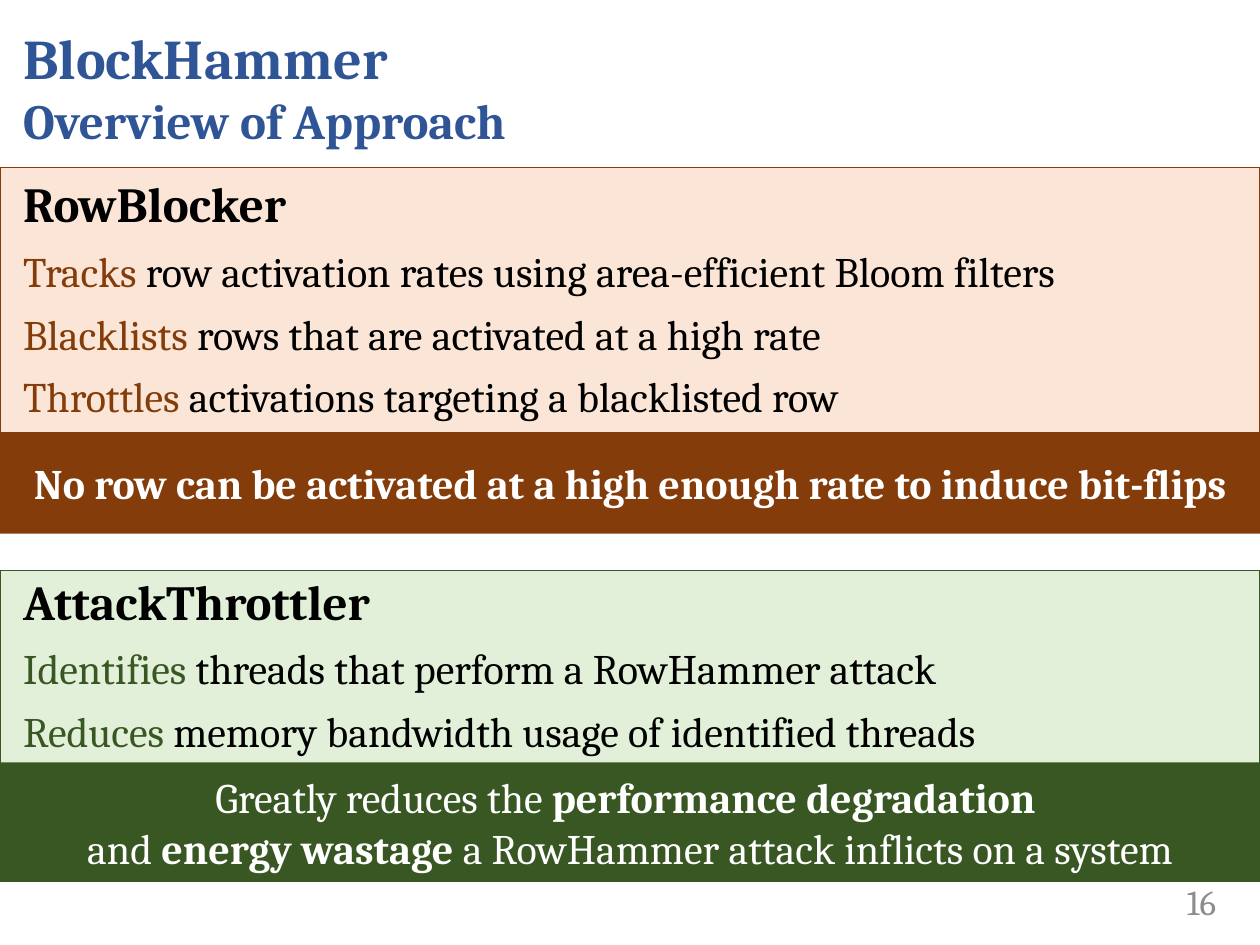
from pptx import Presentation
from pptx.dml.color import RGBColor
from pptx.enum.shapes import MSO_SHAPE
from pptx.enum.text import MSO_ANCHOR, MSO_AUTO_SIZE, PP_ALIGN
from pptx.oxml.ns import qn
from pptx.util import Pt

COLORS = {
    "title": "2F5597", "text": "000000", "white": "FFFFFF", "number": "8C8C8C",
    "brown": "843C0B", "peach": "FBE5D6", "green": "385723", "mint": "E2F0D9",
}


class SlideBuilder:
    font_name = "Cambria"

    def __init__(self, page):
        self.page = page

    def color(self, name):
        return RGBColor.from_string(COLORS[name])

    def place(self, box, left, top, width, height):
        bounds = {"left": left, "top": top, "width": width, "height": height}
        for name, value in bounds.items():
            setattr(box, name, Pt(value))

    def frame(self, box, anchor):
        settings = {"word_wrap": True, "auto_size": MSO_AUTO_SIZE.NONE,
                    "vertical_anchor": anchor}
        for name, value in settings.items():
            setattr(box.text_frame, name, value)

    def add_spans(self, para, spans, **formats):
        for name, value in formats.items():
            setattr(para, name, value)
        for words, size, color, bold in spans:
            span = para.add_run()
            span.text = words
            font_values = {"name": self.font_name, "size": Pt(size), "bold": bold}
            for name, value in font_values.items():
                setattr(span.font, name, value)
            span.font.color.rgb = self.color(color)

    def add_lines(self, box, lines, **formats):
        frame = box.text_frame
        for index, spans in enumerate(lines):
            para = frame.add_paragraph() if index else frame.paragraphs[0]
            self.add_spans(para, spans, **formats)

    def title(self, bounds, first, second):
        box = self.page.shapes.title
        self.place(box, *bounds)
        self.frame(box, MSO_ANCHOR.MIDDLE)
        para = box.text_frame.paragraphs[0]
        self.add_spans(para, [(first, 32, "title", True)],
                       alignment=PP_ALIGN.LEFT, space_after=Pt(6))
        para.add_line_break()
        self.add_spans(para, [(second, 28, "title", True)])

    def body(self, bounds, sections, section_gap):
        box = self.page.placeholders[1]
        self.place(box, *bounds)
        self.frame(box, MSO_ANCHOR.TOP)
        lines = []
        gaps = []
        for heading, accent, points in sections:
            gaps.append(section_gap if lines else 0)
            lines.append([(heading, 28, "text", True)])
            for lead, rest in points:
                gaps.append(10)
                lines.append([(lead, 24, accent, False), (rest, 24, "text", False)])
        self.add_lines(box, lines, line_spacing=0.9)
        for para, gap in zip(box.text_frame.paragraphs, gaps):
            properties = para._p.get_or_add_pPr()
            properties.set("marL", "0")
            properties.set("indent", "0")
            para.space_before = Pt(gap)
            properties.insert_element_before(
                properties.makeelement(qn("a:buNone"), {}), "a:tabLst", "a:defRPr")

    def band(self, top, height, fill, line=None):
        box = self.page.shapes.add_shape(
            MSO_SHAPE.RECTANGLE, Pt(0), Pt(top), Pt(720), Pt(height))
        box.shadow.inherit = False
        box.fill.solid()
        box.fill.fore_color.rgb = self.color(fill)
        if line:
            box.line.color.rgb = self.color(line)
            box.line.width = Pt(1)
        else:
            box.line.fill.background()
        return box

    def panel(self, top, fill, line):
        box = self.band(top, 174, fill, line)
        body = self.page.placeholders[1]
        body._element.addprevious(box._element)

    def banner(self, top, height, fill, lines):
        box = self.band(top, height, fill)
        self.frame(box, MSO_ANCHOR.MIDDLE)
        spans = [[(words, 24, "white", bold) for words, bold in line] for line in lines]
        self.add_lines(box, spans, alignment=PP_ALIGN.CENTER)

    def number(self, bounds, value):
        box = self.page.shapes.add_textbox(*map(Pt, bounds))
        self.frame(box, MSO_ANCHOR.MIDDLE)
        self.add_lines(box, [[(value, 20, "number", False)]],
                       alignment=PP_ALIGN.RIGHT)


def main():
    deck = Presentation()
    deck.slide_width, deck.slide_height = Pt(720), Pt(540)
    builder = SlideBuilder(deck.slides.add_slide(deck.slide_layouts[1]))
    builder.title((6, 4.5, 578, 90), "BlockHammer", "Overview of Approach")
    builder.panel(326, "mint", "green")
    builder.panel(95.75, "peach", "brown")
    builder.body((6, 99.5, 708, 401), [
        ("RowBlocker", "brown", [
            ("Tracks", " row activation rates using area-efficient Bloom filters"),
            ("Blacklists", " rows that are activated at a high rate"),
            ("Throttles", " activations targeting a blacklisted row"),
        ]),
        ("AttackThrottler", "green", [
            ("Identifies", " threads that perform a RowHammer attack"),
            ("Reduces", " memory bandwidth usage of identified threads"),
        ]),
    ], section_gap=89)
    builder.banner(247, 58, "brown", [
        [("No row can be activated at a high enough rate to induce bit-flips", True)],
    ])
    builder.banner(435.75, 68.25, "green", [
        [("Greatly reduces the ", False), ("performance degradation ", True)],
        [("and", False), (" energy wastage ", True),
         ("a RowHammer attack inflicts on a system", False)],
    ])
    builder.number((624, 500.5, 78, 29), "16")
    deck.save("out.pptx")


if __name__ == "__main__":
    main()
